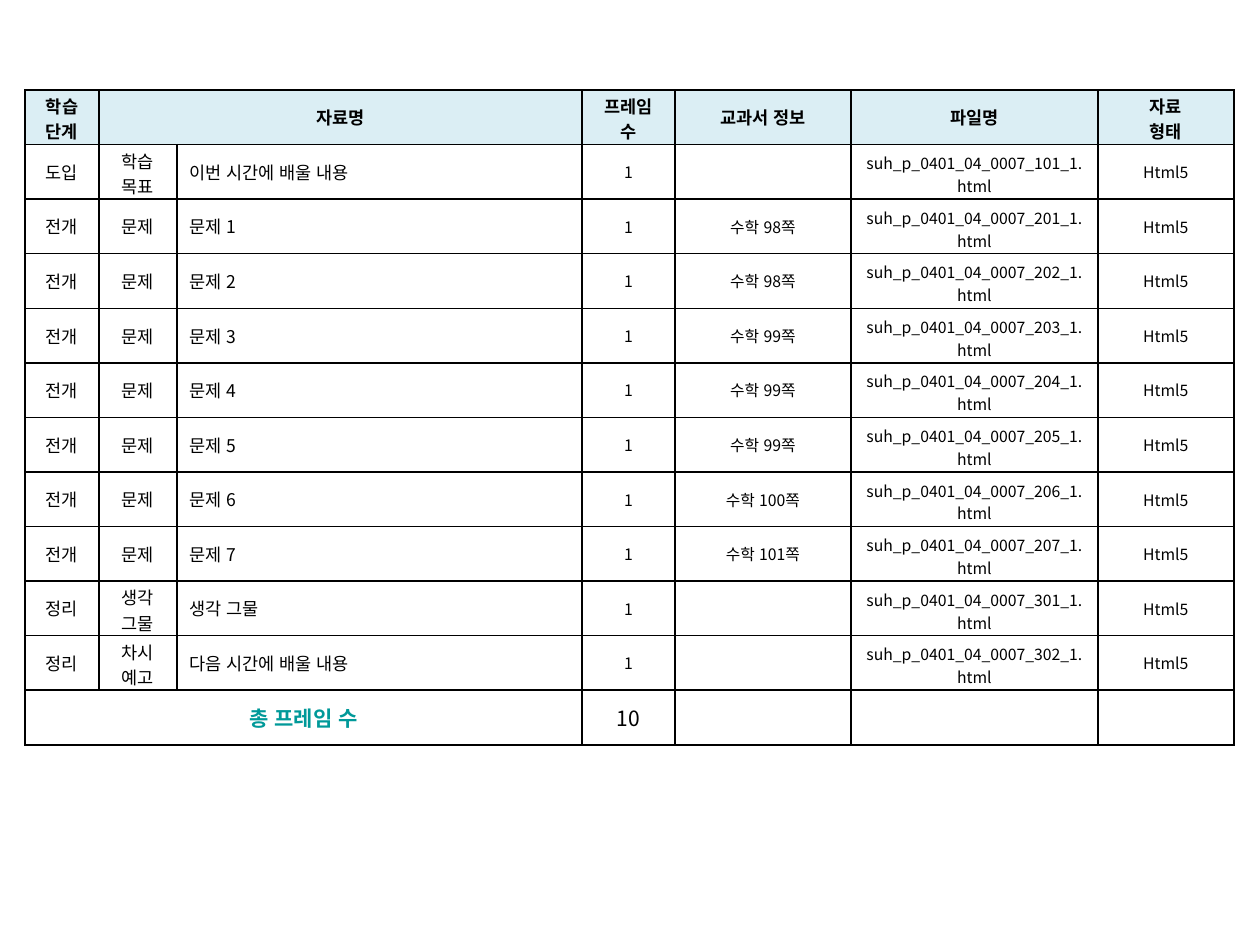
from lxml.etree import SubElement
from pptx import Presentation
from pptx.dml.color import RGBColor
from pptx.enum.lang import MSO_LANGUAGE_ID
from pptx.enum.text import MSO_ANCHOR, PP_ALIGN
from pptx.oxml.ns import qn
from pptx.util import Emu, Pt

FONT = "Noto Sans CJK KR"
BLACK = RGBColor(0x00, 0x00, 0x00)
TEAL = RGBColor(0x00, 0x99, 0x99)
PALE_BLUE = RGBColor(0xDB, 0xEE, 0xF4)

PX_PER_INCH = 126
COLUMN_WIDTHS = [74, 78, 405, 93, 176, 247, 136]
HEADINGS = ["학습 단계", "자료명", "", "프레임 수", "교과서 정보", "파일명", "자료\n형태"]
TWO_LINE_LABELS = {"학습 단계", "프레임 수", "자료\n형태", "학습\n목표", "생각\n그물", "차시 예고"}
TEXTBOOK_PAGES = [98, 98, 99, 99, 99, 100, 101]

HEADING = {"size": Pt(10), "bold": True}
LABEL = {"size": Pt(10), "bold": False}
DETAIL = {"size": Pt(9), "bold": False}
TOTAL_LABEL = {"size": Pt(12), "bold": True}
TOTAL_COUNT = {"size": Pt(12), "bold": False}


def px(length):
    """Turn whole pixels into EMU."""
    return Emu(round(length * 914400 / PX_PER_INCH))


def lesson_rows():
    """List the stage, kind, title, textbook page and file number of each frame."""
    problems = [
        ("전개", "문제", f"문제 {number}", f"수학 {page}쪽", 200 + number)
        for number, page in enumerate(TEXTBOOK_PAGES, start=1)
    ]
    return [
        ("도입", "학습\n목표", "이번 시간에 배울 내용", "", 101),
        *problems,
        ("정리", "생각\n그물", "생각 그물", "", 301),
        ("정리", "차시 예고", "다음 시간에 배울 내용", "", 302),
    ]


def add_borders(cell):
    """Draw a thin black line on every side of a cell."""
    properties = cell._tc.get_or_add_tcPr()
    for side in ("lnL", "lnR", "lnT", "lnB"):
        line = SubElement(properties, qn(f"a:{side}"), w=str(Pt(1)))
        fill = SubElement(line, qn("a:solidFill"))
        SubElement(fill, qn("a:srgbClr"), val=str(BLACK))


def set_margins(cell, text):
    """Fit two-line text into the fixed row height."""
    if text in TWO_LINE_LABELS:
        cell.margin_top, cell.margin_bottom = px(3), px(0)
    elif text.endswith(".html"):
        cell.margin_top, cell.margin_bottom = px(6), px(1)


def write_cell(cell, text, style, color=BLACK, align=PP_ALIGN.CENTER):
    """Put formatted text into a cell, one paragraph per line."""
    cell.text = text
    set_margins(cell, text)
    look = {**style, "name": FONT, "language_id": MSO_LANGUAGE_ID.KOREAN}
    for para in cell.text_frame.paragraphs:
        para.alignment = align
        for span in para.runs:
            for name, value in look.items():
                setattr(span.font, name, value)
            span.font.color.rgb = color
            SubElement(span.font._element, qn("a:ea"), typeface=FONT)


def add_grid(slide, row_count):
    """Add the empty bordered table."""
    frame = slide.shapes.add_table(
        row_count, len(COLUMN_WIDTHS), px(25), px(90), px(sum(COLUMN_WIDTHS)), px(655)
    )
    table = frame.table
    table.first_row = table.horz_banding = False
    for column, width in zip(table.columns, COLUMN_WIDTHS):
        column.width = px(width)
    for cell in table.iter_cells():
        cell.vertical_anchor = MSO_ANCHOR.MIDDLE
        add_borders(cell)
        cell.fill.background()
    return table


def fill_header(table):
    """Write the shaded heading row."""
    table.cell(0, 1).merge(table.cell(0, 2))
    for column, heading in enumerate(HEADINGS):
        cell = table.cell(0, column)
        cell.fill.solid()
        cell.fill.fore_color.rgb = PALE_BLUE
        if heading:
            write_cell(cell, heading, HEADING)


def fill_lesson(table, row, lesson):
    """Write one frame of the lesson."""
    stage, kind, title, textbook, number = lesson
    file_name = f"suh_p_0401_04_0007_{number}_1.html"
    for column, text in enumerate([stage, kind, title, "1", textbook, file_name, "Html5"]):
        style = LABEL if column < 3 else DETAIL
        align = PP_ALIGN.LEFT if column == 2 else PP_ALIGN.CENTER
        if text:
            write_cell(table.cell(row, column), text, style, align=align)


def fill_total(table, row, count):
    """Write the closing row with the number of frames."""
    table.cell(row, 0).merge(table.cell(row, 2))
    write_cell(table.cell(row, 0), "총 프레임 수", TOTAL_LABEL, TEAL)
    write_cell(table.cell(row, 3), str(count), TOTAL_COUNT)


def main():
    """Build the slide and save the deck."""
    deck = Presentation()
    deck.slide_width, deck.slide_height = px(1260), px(945)
    slide = deck.slides.add_slide(deck.slide_layouts[6])
    lessons = lesson_rows()
    table = add_grid(slide, len(lessons) + 2)
    fill_header(table)
    for row, lesson in enumerate(lessons, start=1):
        fill_lesson(table, row, lesson)
    fill_total(table, len(lessons) + 1, len(lessons))
    deck.save("out.pptx")


if __name__ == "__main__":
    main()
